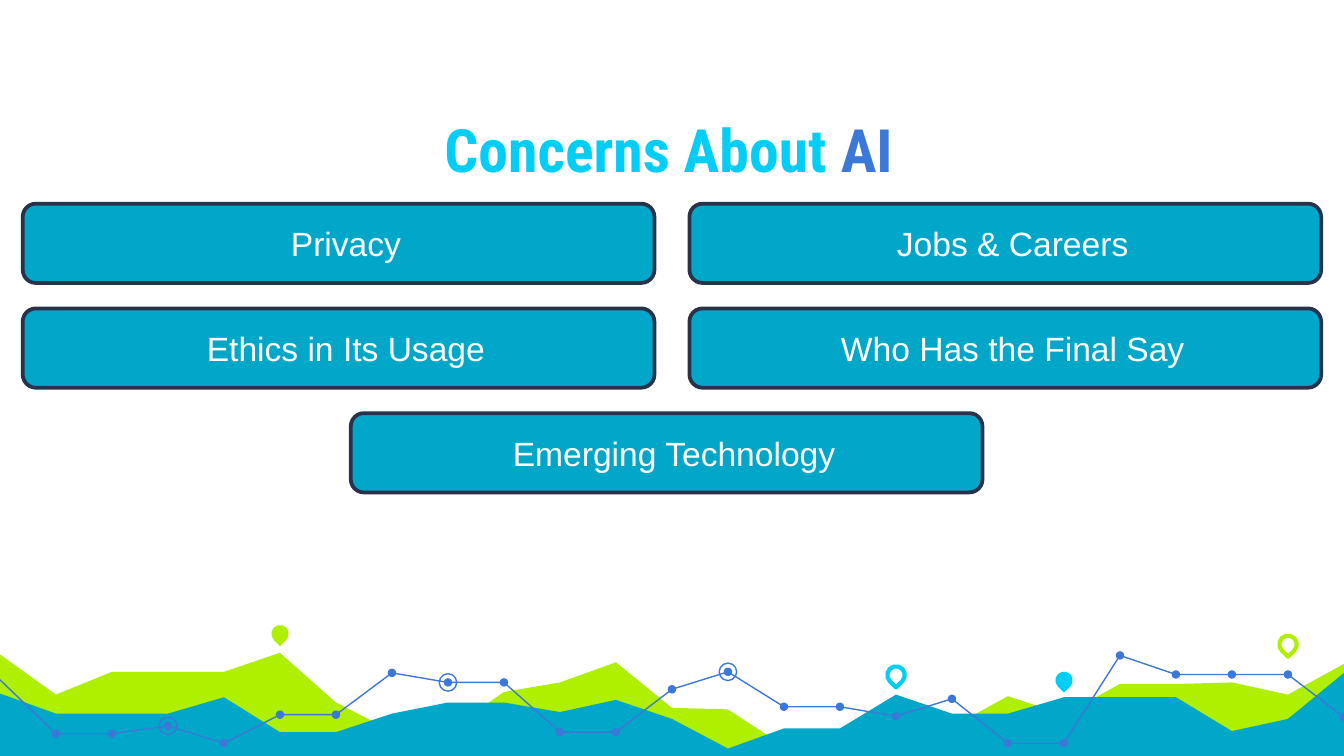
from lxml.etree import SubElement
from pptx import Presentation
from pptx.dml.color import RGBColor
from pptx.enum.shapes import MSO_SHAPE
from pptx.enum.text import MSO_ANCHOR, PP_ALIGN
from pptx.oxml.ns import qn
from pptx.util import Cm, Pt

WIDTH, HEIGHT = 25.4, 14.29
LIME, TEAL, CYAN, BLUE, NAVY, WHITE = "AFF000", "00A7C8", "00CEF6", "3C78D8", "28324A", "FFFFFF"

BACK_HILLS = [0.56, 1.32, 0.89, 0.89, 0.89, 0.53, 1.47, 2.01, 2.01, 1.27, 1.09, 0.71, 1.57,
              1.6, 2.29, 2.29, 1.93, 1.93, 1.35, 1.7, 1.12, 1.12, 1.09, 1.32, 0.74]
FRONT_HILLS = [1.3, 1.68, 1.68, 1.68, 1.37, 2.03, 2.03, 1.68, 1.47, 1.47, 1.65, 1.42, 1.78,
               2.34, 1.96, 1.96, 1.32, 1.68, 1.68, 1.37, 1.37, 1.37, 2.01, 1.78, 0.91]
TRAIL = [1.04, 2.06, 2.06, 1.91, 2.24, 1.7, 1.7, 0.91, 1.09, 1.09, 2.03, 2.03, 1.22,
         0.89, 1.55, 1.55, 1.73, 1.4, 2.24, 2.24, 0.58, 0.94, 0.94, 0.94, 1.75]
RINGED_STOPS = [3, 8, 13]
PINS = [(5, 0.17, LIME, True), (16, 0.95, CYAN, False), (19, 1.05, CYAN, True), (23, 0.37, LIME, False)]

CARDS = [("Privacy", 0, 0), ("Jobs & Careers", 12.6, 0),
         ("Ethics in Its Usage", 0, 1), ("Who Has the Final Say", 12.6, 1),
         ("Emerging Technology", 6.2, 2)]


def color(value):
    """Return the colour for a hex string."""
    return RGBColor.from_string(value)


def paint(sp, fill=None, line=None, weight=0.75):
    """Set fill and outline of a shape and take away its shadow."""
    sp.shadow.inherit = False
    if fill:
        sp.fill.solid()
        sp.fill.fore_color.rgb = color(fill)
    else:
        sp.fill.background()
    if line:
        sp.line.color.rgb = color(line)
        sp.line.width = Pt(weight)
    else:
        sp.line.fill.background()


def add_path(slide, points, closed):
    """Add a freeform through points given in centimetres."""
    points = [(Cm(x), Cm(y)) for x, y in points]
    builder = slide.shapes.build_freeform(*points[0])
    builder.add_line_segments(points[1:], close=closed)
    return builder.convert_to_shape()


def add_centered(slide, kind, x, y, size):
    """Add a square preset shape around a centre point."""
    return slide.shapes.add_shape(kind, Cm(x - size / 2), Cm(y - size / 2), Cm(size), Cm(size))


def add_title(slide, left, top, width, height):
    """Place the two-coloured title in its placeholder."""
    title = slide.shapes.title
    title.left, title.top, title.width, title.height = Cm(left), Cm(top), Cm(width), Cm(height)
    tf = title.text_frame
    tf.vertical_anchor = MSO_ANCHOR.BOTTOM
    tf.margin_left = tf.margin_right = tf.margin_top = tf.margin_bottom = Cm(0.25)
    p = tf.paragraphs[0]
    p.alignment = PP_ALIGN.CENTER
    p.font.name, p.font.size, p.font.bold = "Roboto Condensed", Pt(32), True
    for text, tint in [("Concerns About ", CYAN), ("AI", BLUE)]:
        r = p.add_run()
        r.text = text
        r.font.color.rgb = color(tint)


def add_cards(slide, left, top, width, height, pitch):
    """Place the concern cards in rows from the given corner."""
    for text, shift, row in CARDS:
        sp = slide.shapes.add_shape(MSO_SHAPE.ROUNDED_RECTANGLE, Cm(left + shift),
                                    Cm(top + row * pitch), Cm(width), Cm(height))
        paint(sp, TEAL, NAVY, 2)
        tf = sp.text_frame
        tf.word_wrap = True
        tf.vertical_anchor = MSO_ANCHOR.MIDDLE
        p = tf.paragraphs[0]
        p.text = text
        p.alignment = PP_ALIGN.CENTER
        p.space_before = Pt(6)
        p.font.name, p.font.size = "Arial", Pt(18)
        p.font.color.rgb = color(WHITE)
        p._p.get_or_add_pPr().set("marL", str(Cm(0.28)))


def add_landscape(slide, left, top, width, height):
    """Draw hills, pins and the dotted trail across the box."""
    step = width / (len(TRAIL) - 1)

    def profile(depths):
        """Spread depths evenly over the box."""
        return [(left + i * step, top + depth) for i, depth in enumerate(depths)]

    base = [(left + width, top + height), (left, top + height)]
    for depths, tint in [(BACK_HILLS, LIME), (FRONT_HILLS, TEAL)]:
        paint(add_path(slide, profile(depths) + base, True), tint)

    for stop, depth, tint, solid in PINS:
        pin = add_centered(slide, MSO_SHAPE.TEAR, left + stop * step, top + depth, 0.33)
        pin.rotation = 135
        paint(pin, tint if solid else None, None if solid else tint, 2.25)

    trail = profile(TRAIL)
    paint(add_path(slide, trail, False), line=BLUE)
    for x, y in trail[1:]:
        paint(add_centered(slide, MSO_SHAPE.OVAL, x, y, 0.16), BLUE)
    for stop in RINGED_STOPS:
        paint(add_centered(slide, MSO_SHAPE.OVAL, *trail[stop], 0.33), line=BLUE)


def main():
    """Build and save the slide."""
    prs = Presentation()
    prs.slide_width, prs.slide_height = Cm(WIDTH), Cm(HEIGHT)
    slide = prs.slides.add_slide(prs.slide_layouts[5])
    slide.background.fill.solid()
    slide.background.fill.fore_color.rgb = color(WHITE)
    add_landscape(slide, 0, 11.81, WIDTH, HEIGHT - 11.81)
    add_title(slide, 2.92, 1.75, 19.43, 1.98)
    add_cards(slide, 0.43, 3.85, 11.94, 1.5, 1.98)
    prs.save("out.pptx")


if __name__ == "__main__":
    main()
